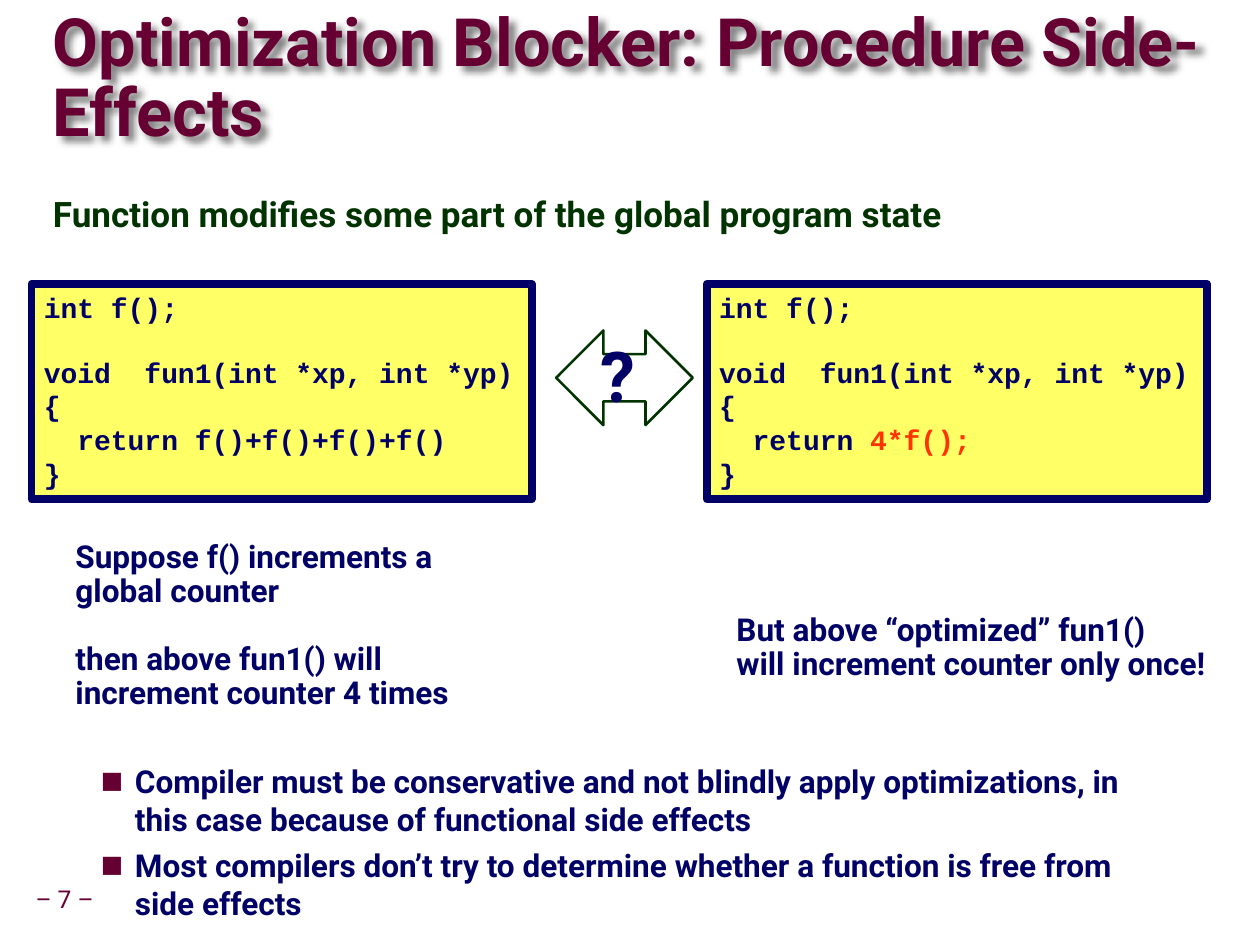
from lxml.etree import SubElement
from pptx import Presentation
from pptx.dml.color import RGBColor
from pptx.enum.shapes import MSO_SHAPE
from pptx.enum.text import MSO_ANCHOR, MSO_AUTO_SIZE, PP_ALIGN
from pptx.oxml.ns import qn
from pptx.util import Pt

COLORS = {
    "maroon": "660033",
    "green": "003300",
    "navy": "000066",
    "yellow": "FFFF66",
    "red": "FF3300",
    "shadow": "808080",
}
BODY_FONT = "Roboto"
CODE_FONT = "Courier New"
CODE_TOP, CODE_WIDTH, CODE_HEIGHT = 162, 285.5, 123
CODE_LINE = 18


def color(name):
    """Return the named palette colour."""
    return RGBColor.from_string(COLORS[name])


def place(shape, left, top, width, height):
    """Set the frame of a shape in points."""
    shape.left, shape.top = Pt(left), Pt(top)
    shape.width, shape.height = Pt(width), Pt(height)


def prepare(frame, anchor=MSO_ANCHOR.TOP, inset=(7.2, 3.6)):
    """Fix wrapping, anchor and insets of a text frame."""
    frame.auto_size = MSO_AUTO_SIZE.NONE
    frame.word_wrap = True
    frame.vertical_anchor = anchor
    frame.margin_left = frame.margin_right = Pt(inset[0])
    frame.margin_top = frame.margin_bottom = Pt(inset[1])


def add_run(paragraph, text, size, ink="navy", font=BODY_FONT, bold=True):
    """Add one formatted run."""
    run = paragraph.add_run()
    run.text = text
    run.font.name, run.font.size, run.font.bold = font, Pt(size), bold
    run.font.color.rgb = color(ink)


def next_paragraph(frame, index, spacing=1.0, before=0, align=PP_ALIGN.LEFT):
    """Return the paragraph at the index, adding it after the first."""
    paragraph = frame.add_paragraph() if index else frame.paragraphs[0]
    paragraph.line_spacing = spacing
    paragraph.space_before = Pt(before if index else 0)
    paragraph.space_after = Pt(0)
    paragraph.alignment = align
    return paragraph


def set_bullet(paragraph, left=0, hanging=0, char=None):
    """Set the indents and the square bullet, or no bullet."""
    props = paragraph._p.get_or_add_pPr()
    props.set("marL", str(Pt(left)))
    props.set("indent", str(Pt(-hanging)))
    if char is None:
        SubElement(props, qn("a:buNone"))
        return
    bullet_color = SubElement(props, qn("a:buClr"))
    SubElement(bullet_color, qn("a:srgbClr"), val=COLORS["maroon"])
    SubElement(props, qn("a:buSzPct"), val="75000")
    SubElement(props, qn("a:buFont"), typeface=BODY_FONT)
    SubElement(props, qn("a:buChar"), char=char)


def add_title(slide, text):
    """Fill the title placeholder and give its text a soft shadow."""
    title = slide.shapes.title
    place(title, 30.2, 23.8, 671, 44.6)
    prepare(title.text_frame, MSO_ANCHOR.MIDDLE, (0, 0))
    add_run(next_paragraph(title.text_frame, 0, 0.87), text, 38, "maroon")
    effects = SubElement(title._element.spPr, qn("a:effectLst"))
    shadow = SubElement(effects, qn("a:outerShdw"), blurRad=str(Pt(4)),
                        dist=str(Pt(4)), dir="2700000", algn="tl", rotWithShape="0")
    SubElement(shadow, qn("a:srgbClr"), val=COLORS["shadow"])


def add_statement(placeholder, text):
    """Fill a body placeholder with one unbulleted line."""
    place(placeholder, 23, 108, 653, 50)
    prepare(placeholder.text_frame)
    paragraph = next_paragraph(placeholder.text_frame, 0, 0.95)
    set_bullet(paragraph)
    add_run(paragraph, text, 20, "green")


def add_conclusions(placeholder, items):
    """Fill a body placeholder with a bulleted list."""
    place(placeholder, 11.5, 431.3, 653, 100)
    prepare(placeholder.text_frame)
    for index, item in enumerate(items):
        paragraph = next_paragraph(placeholder.text_frame, index, before=4.5)
        set_bullet(paragraph, 58.3, 19.4, "■")
        add_run(paragraph, item, 18)


def add_code(slide, left, result):
    """Add a code panel whose return expression is given as text and colour."""
    panel = slide.shapes.add_shape(
        MSO_SHAPE.RECTANGLE, Pt(left), Pt(CODE_TOP), Pt(CODE_WIDTH), Pt(CODE_HEIGHT))
    panel.shadow.inherit = False
    panel.fill.solid()
    panel.fill.fore_color.rgb = color("yellow")
    panel.line.color.rgb = color("navy")
    panel.line.width = Pt(4.5)
    prepare(panel.text_frame)
    lines = [
        (0, [("int f();", "navy")]),
        (CODE_LINE, [("void  fun1(int *xp, int *yp)", "navy")]),
        (0, [("{", "navy")]),
        (0, [("  return ", "navy"), result]),
        (0, [("}", "navy")]),
    ]
    for index, (before, runs) in enumerate(lines):
        paragraph = next_paragraph(panel.text_frame, index, before=before)
        for text, ink in runs:
            add_run(paragraph, text, 16, ink, CODE_FONT)


def add_arrow(slide):
    """Add the hollow double arrow between the code panels."""
    arrow = slide.shapes.add_shape(
        MSO_SHAPE.LEFT_RIGHT_ARROW, Pt(317.5), Pt(188.6), Pt(78), Pt(54))
    arrow.shadow.inherit = False
    arrow.fill.background()
    arrow.line.color.rgb = color("green")
    arrow.line.width = Pt(1.5)


def add_note(slide, frame, lines, size=18, gap=0, ink="navy", bold=True,
             align=PP_ALIGN.LEFT, anchor=MSO_ANCHOR.TOP, inset=(7.2, 3.6)):
    """Add a text box with one paragraph per line."""
    note = slide.shapes.add_textbox(*map(Pt, frame))
    prepare(note.text_frame, anchor, inset)
    for index, line in enumerate(lines):
        paragraph = next_paragraph(note.text_frame, index, 0.9, gap, align)
        add_run(paragraph, line, size, ink, bold=bold)


def main():
    """Build the slide and save it."""
    deck = Presentation()
    deck.slide_width, deck.slide_height = Pt(719.3), Pt(539.3)
    slide = deck.slides.add_slide(deck.slide_layouts[3])
    statement, conclusions = slide.placeholders[1], slide.placeholders[2]

    add_title(slide, "Optimization Blocker: Procedure Side-Effects")
    add_statement(statement, "Function modifies some part of the global program state")
    add_code(slide, 18, ("f()+f()+f()+f()", "navy"))
    add_code(slide, 403.5, ("4*f();", "red"))
    add_arrow(slide)
    add_note(slide, (333, 191.5, 39, 52), ["?"], size=40, align=PP_ALIGN.CENTER)
    add_note(slide, (36, 305.3, 252.7, 106),
             ["Suppose f() increments a global counter",
              "then above fun1() will increment counter 4 times"], gap=19.5)
    add_note(slide, (413.3, 347, 303, 47),
             ["But above “optimized” fun1()", "will increment counter only once!"])
    add_conclusions(conclusions, [
        "Compiler must be conservative and not blindly apply optimizations, "
        "in this case because of functional side effects",
        "Most compilers don’t try to determine whether a function is free "
        "from side effects",
    ])
    add_note(slide, (12.4, 502.6, 49, 23), ["– 7 –"], size=14, ink="maroon", bold=False,
             align=PP_ALIGN.CENTER, anchor=MSO_ANCHOR.MIDDLE, inset=(3.6, 3.6))
    deck.save("out.pptx")


if __name__ == "__main__":
    main()
